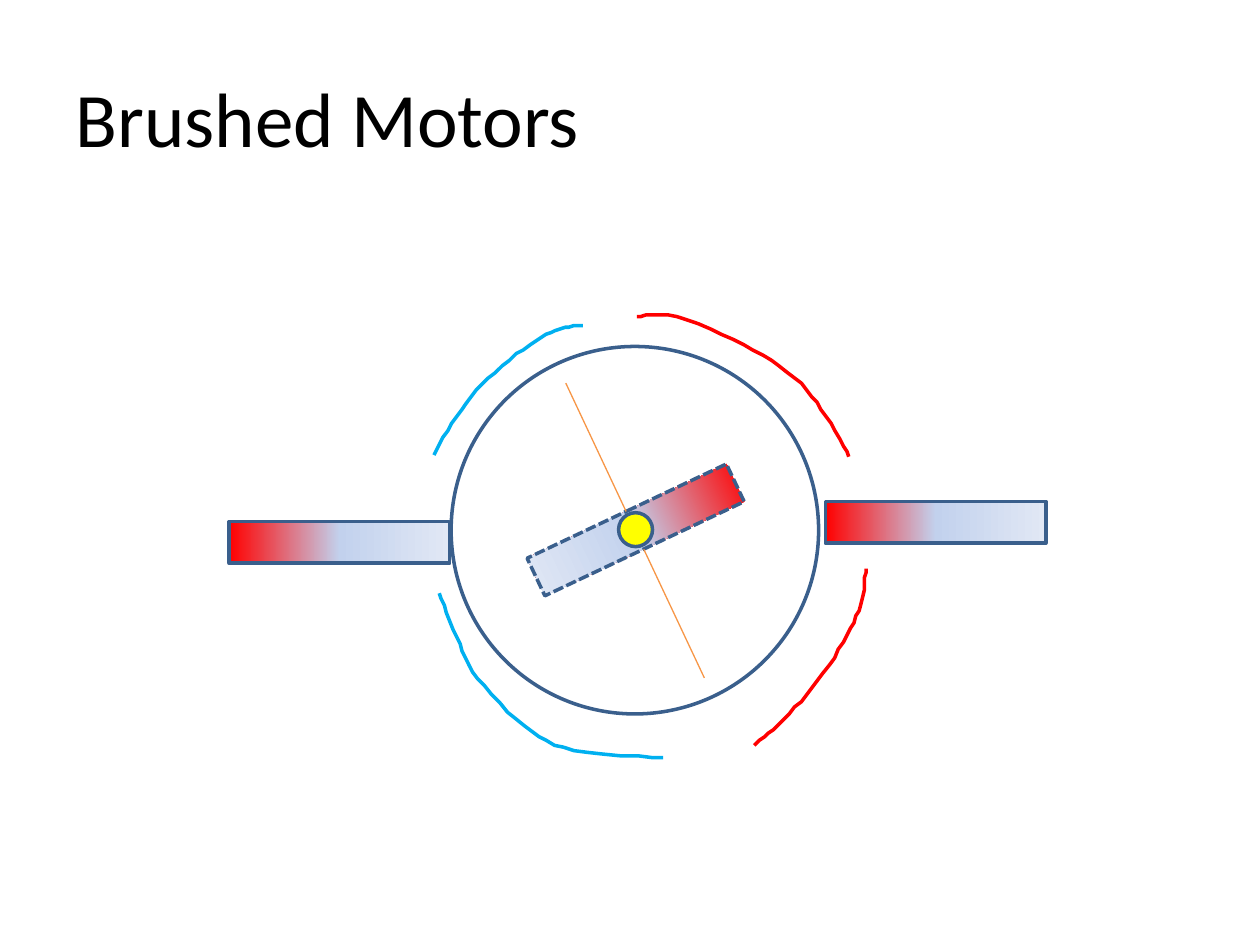
from copy import deepcopy
from lxml import etree
from pptx import Presentation
from pptx.dml.color import RGBColor
from pptx.enum.dml import MSO_LINE
from pptx.enum.shapes import MSO_CONNECTOR, MSO_SHAPE
from pptx.enum.text import MSO_ANCHOR, PP_ALIGN
from pptx.oxml.ns import qn
from pptx.util import Pt

RECTANGLE, OVAL = MSO_SHAPE.RECTANGLE, MSO_SHAPE.OVAL
STRAIGHT, DASHED = MSO_CONNECTOR.STRAIGHT, MSO_LINE.SQUARE_DOT
LEFT, MIDDLE = PP_ALIGN.LEFT, MSO_ANCHOR.MIDDLE

BLACK = RGBColor(0x00, 0x00, 0x00)
NAVY = RGBColor(0x3A, 0x5F, 0x8C)
RED = RGBColor(0xFF, 0x00, 0x00)
BLUE = RGBColor(0x00, 0xB0, 0xF0)
ORANGE = RGBColor(0xF7, 0x96, 0x46)
YELLOW = RGBColor(0xFF, 0xFF, 0x00)
MAGNET_STOPS = [
    (0, RED),
    (0.5, RGBColor(0xC2, 0xD1, 0xED)),
    (1, RGBColor(0xE1, 0xE8, 0xF5)),
]

TITLE = "Brushed Motors"
MAGNET_SIZE = (126, 23.8)
MAGNETS = [
    {"corner": (131, 298.1)},
    {"corner": (471.6, 286.6)},
    {"corner": (300.2, 290.9), "rotation": 154.7, "dash": DASHED},
]
CASING = (257.8, 198, 210, 210)
HUB = (353.5, 293, 19.4, 19.4)
AXIS_LINES = [(367.9, 313.9, 402.5, 387.4), (323.3, 218.9, 357.8, 292.3)]

STROKE_STEPS = 6
STROKES = [
    (RED, [(364, 181), (387, 181), (425, 197), (454, 216), (472, 238), (485, 261)]),
    (BLUE, [(251, 339), (261, 364), (273, 388), (300, 415), (328, 429), (379, 433)]),
    (BLUE, [(248, 260), (261, 238), (279, 216), (303, 197), (320, 188), (333, 186)]),
    (RED, [(495, 325), (492, 345), (482, 367), (464, 393), (445, 414), (431, 426)]),
]


def set_text(shape, text, size, color, font="Calibri", align=LEFT):
    frame = shape.text_frame
    frame.vertical_anchor = MIDDLE
    paragraph = frame.paragraphs[0]
    paragraph.alignment = align
    run = paragraph.add_run()
    run.text = text
    run.font.size = Pt(size)
    run.font.name = font
    run.font.color.rgb = color


def set_line(shape, color, width=2, dash=None):
    shape.line.color.rgb = color
    shape.line.width = Pt(width)
    if dash is not None:
        shape.line.dash_style = dash


def add_part(slide, kind, box, fill=None, dash=None):
    shape = slide.shapes.add_shape(kind, *map(Pt, box))
    shape.shadow.inherit = False
    if fill is None:
        shape.fill.background()
    else:
        shape.fill.solid()
        shape.fill.fore_color.rgb = fill
    set_line(shape, NAVY, dash=dash)
    return shape


def add_magnet(slide, corner, rotation=0, dash=None):
    magnet = add_part(slide, RECTANGLE, corner + MAGNET_SIZE, dash=dash)
    magnet.fill.gradient()
    first_stop = magnet._element.spPr.find(".//" + qn("a:gs"))
    first_stop.addnext(deepcopy(first_stop))
    for stop, (position, color) in zip(magnet.fill.gradient_stops, MAGNET_STOPS):
        stop.position = position
        stop.color.rgb = color
    magnet.fill.gradient_angle = 0
    magnet.rotation = rotation


def add_axis_line(slide, ends):
    connector = slide.shapes.add_connector(STRAIGHT, *map(Pt, ends))
    set_line(connector, ORANGE, 0.75)
    etree.SubElement(connector._element.spPr, qn("a:effectLst"))


def smooth_curve(points):
    padded = [points[0], *points, points[-1]]
    curve = [points[0]]
    for before, start, end, after in zip(padded, padded[1:], padded[2:], padded[3:]):
        for step in range(1, STROKE_STEPS + 1):
            t = step / STROKE_STEPS
            curve.append(tuple(
                b + ((c - a) * t + (2 * a - 5 * b + 4 * c - d) * t ** 2
                     + (3 * b - a - 3 * c + d) * t ** 3) / 2
                for a, b, c, d in zip(before, start, end, after)
            ))
    return curve


def add_stroke(slide, color, points):
    curve = smooth_curve(points)
    builder = slide.shapes.build_freeform(*curve[0], scale=Pt(1))
    builder.add_line_segments(curve[1:], close=False)
    stroke = builder.convert_to_shape()
    stroke.shadow.inherit = False
    stroke.fill.background()
    set_line(stroke, color)


presentation = Presentation()
presentation.slide_width, presentation.slide_height = Pt(720), Pt(540)
slide = presentation.slides.add_slide(presentation.slide_layouts[5])

title = slide.shapes.title
title.left, title.top, title.width, title.height = map(Pt, (36, 21.6, 648, 90))
set_text(title, TITLE, size=44, color=BLACK)

add_part(slide, OVAL, CASING)
for magnet in MAGNETS:
    add_magnet(slide, **magnet)
add_part(slide, OVAL, HUB, fill=YELLOW)
for ends in AXIS_LINES:
    add_axis_line(slide, ends)
for color, points in STROKES:
    add_stroke(slide, color, points)

presentation.save("out.pptx")
